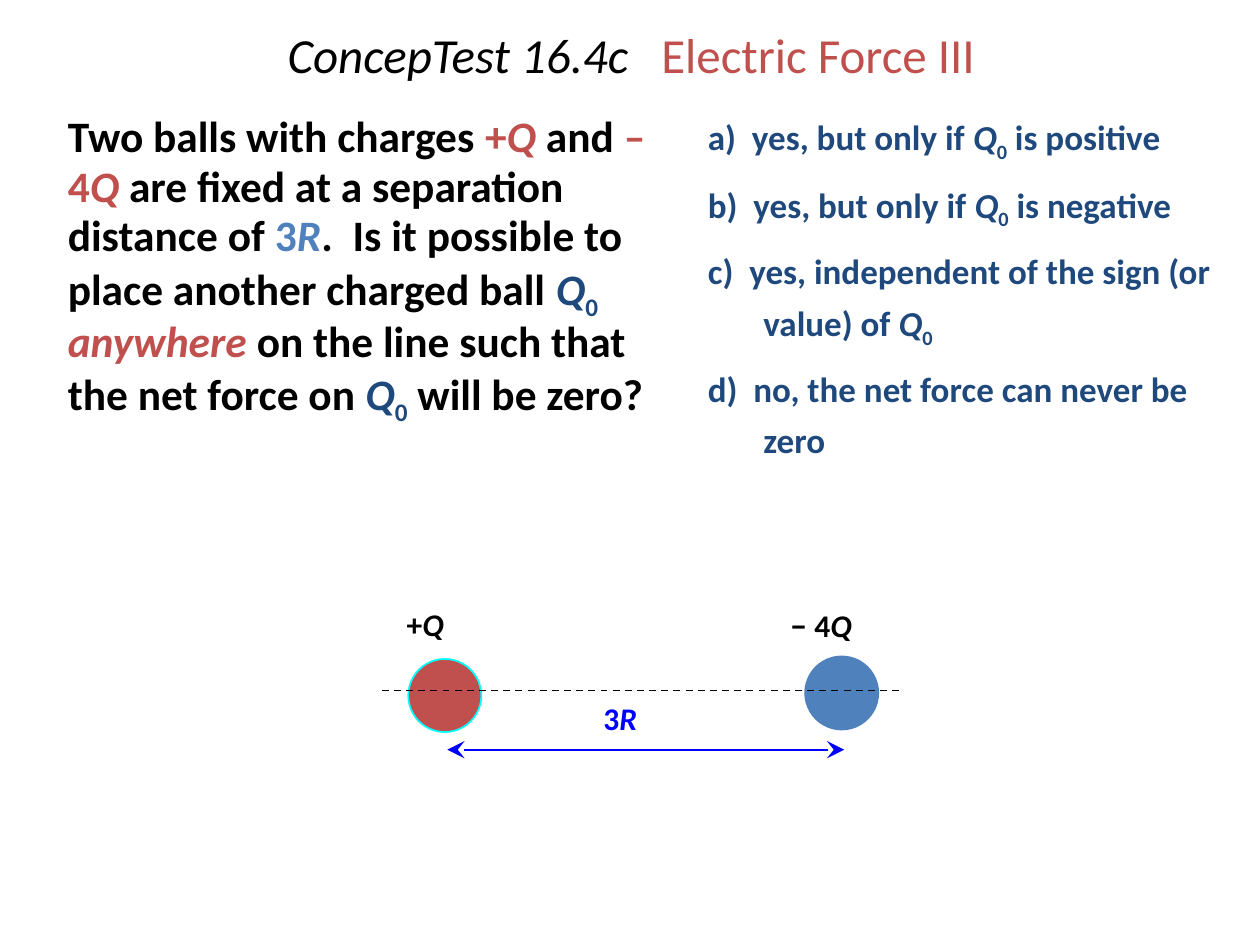
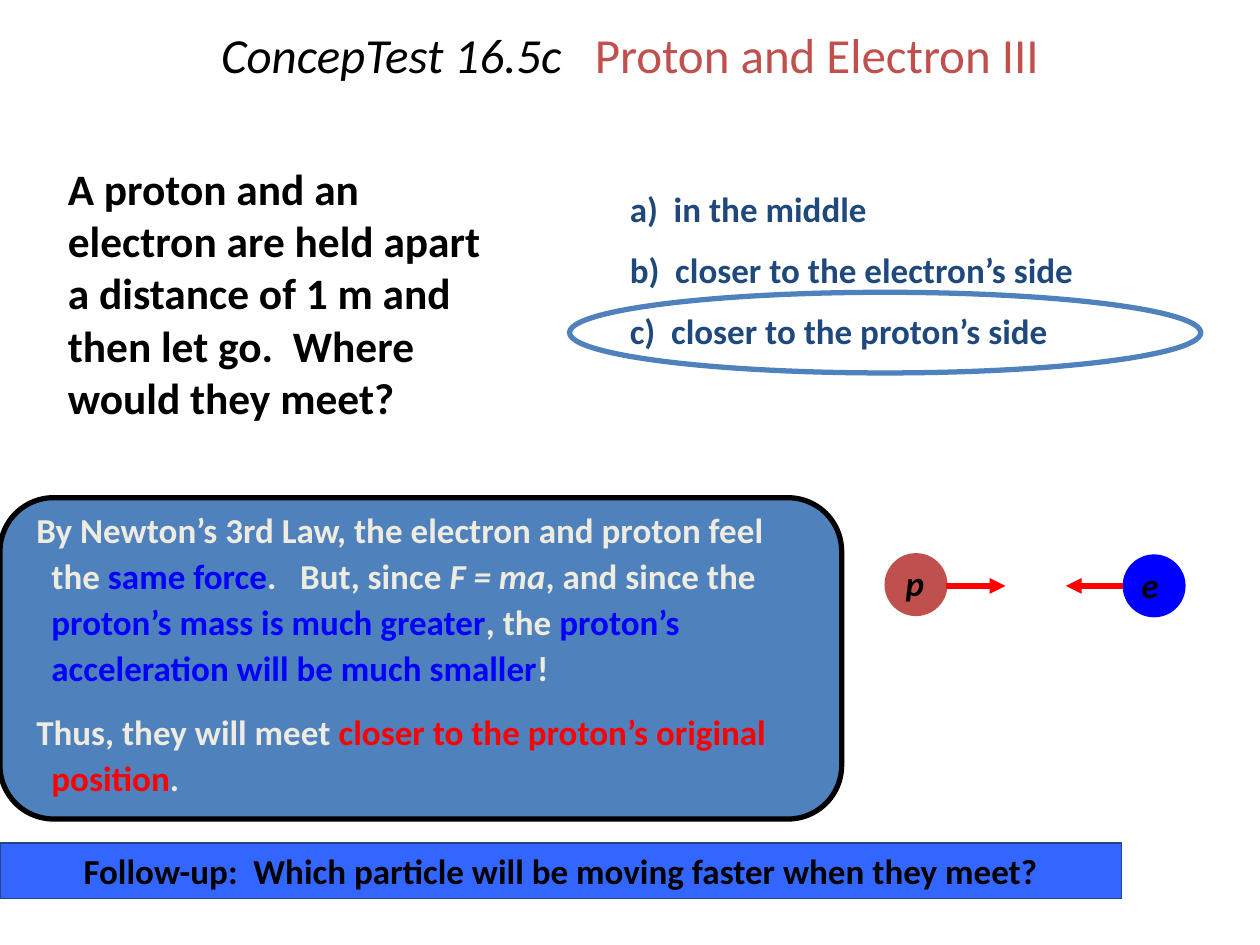
from lxml import etree
from pptx import Presentation
from pptx.dml.color import RGBColor
from pptx.enum import dml, shapes, text
from pptx.oxml.ns import qn
from pptx.util import Inches, Pt

COLOURS = {
    "black": "000000", "red": "C0504D", "blue": "4F81BD", "navy": "1F497D",
    "cream": "EEECE1", "pure blue": "0000FF", "pure red": "FF0000",
    "cyan": "00FFFF", "banner": "3366FF",
}
RGB = {name: RGBColor.from_string(value) for name, value in COLOURS.items()}
FONT = "Calibri"


def write(shape, paragraphs, size=20, colour="black", bold=True, align="LEFT",
          anchor="TOP", wrap=True, line=1.0, before=0, margin=0, indent=0):
    """Fill a shape with paragraphs, each a list of runs.

    A run is (text, colour, flags, size), all but the text optional;
    the flags are "i" for italic and "s" for subscript.
    """
    frame = shape.text_frame
    frame.word_wrap = wrap
    frame.auto_size = text.MSO_AUTO_SIZE.NONE
    frame.vertical_anchor = getattr(text.MSO_ANCHOR, anchor)
    for number, runs in enumerate(paragraphs):
        paragraph = frame.add_paragraph() if number else frame.paragraphs[0]
        paragraph.alignment = getattr(text.PP_ALIGN, align)
        paragraph.line_spacing = line
        paragraph.space_before = Pt(before if number else 0)
        properties = paragraph._p.get_or_add_pPr()
        properties.set("marL", str(Inches(margin)))
        properties.set("indent", str(Inches(indent)))
        for words, run_colour, flags, run_size in (
                (*run, *(None, "", None)[len(run) - 1:]) for run in runs):
            run = paragraph.add_run()
            run.text = words
            run.font.name = FONT
            run.font.size = Pt(run_size or size)
            run.font.bold = bold
            run.font.italic = "i" in flags
            run.font.color.rgb = RGB[run_colour or colour]
            if "s" in flags:
                run.font._element.set("baseline", "-25000")


def draw_line(slide, start, end, colour, width, head=None, tail=None, scale="med"):
    connector = slide.shapes.add_connector(
        shapes.MSO_CONNECTOR.STRAIGHT, *map(Inches, start + end))
    connector.line.color.rgb = RGB[colour]
    connector.line.width = Pt(width)
    for tag, arrow in (("a:headEnd", head), ("a:tailEnd", tail)):
        if arrow:
            etree.SubElement(connector.line._get_or_add_ln(), qn(tag),
                             type=arrow, w=scale, len=scale)
    etree.SubElement(connector._element.spPr, qn("a:effectLst"))
    return connector


presentation = Presentation()
presentation.slide_width = Inches(10)
presentation.slide_height = Inches(7.5)

# Titles
slides = []
for number, topic, left, width in (
        ("16.4c", "Electric Force III", 1.02, 7.98),
        ("16.5c", "Proton and Electron III", 0.91, 8.18)):
    slide = presentation.slides.add_slide(presentation.slide_layouts[5])
    title = slide.shapes.title
    title.left, title.top = Inches(left), 0
    title.width, title.height = Inches(width), Inches(0.92)
    write(title, [[(f"ConcepTest {number}   ", None, "i"), (topic, "red")]],
          size=28, bold=False, align="CENTER", anchor="MIDDLE", line=0.9)
    slides.append(slide)
force_slide, particle_slide = slides

# Questions
charge = ("Q", "navy", "i")
zero, zero_and_space = ("0", "navy", "s"), ("0 ", "navy", "s")
force_question = [
    ("Two balls with charges ",), ("+", "red"), ("Q", "red", "i"), (" and ",),
    ("–4", "red"), ("Q", "red", "i"),
    (" are fixed at a separation distance of ",),
    ("3", "blue"), ("R", "blue", "i"),
    (".  Is it possible to place another charged ball ",),
    charge, zero_and_space, ("anywhere ", "red", "i"),
    ("on the line such that the net force on ",),
    charge, zero, (" will be zero?",),
]
particle_question = [
    ("A proton and an electron are held apart a distance of 1 m and then "
     "let go.  Where would they meet?",),
]
for slide, place, question, line in (
        (force_slide, (0, 0.85, 5.36, 2.78), force_question, 0.95),
        (particle_slide, (0, 1.24, 4.05, 2.33), particle_question, 1.0)):
    write(slide.shapes.add_textbox(*map(Inches, place)), [question],
          size=24.8, line=line, margin=0.44)

# Answers
force_answers = [
    [("a)  yes, but only if ",), charge, zero, (" is positive",)],
    [("b)  yes, but only if ",), charge, zero, (" is negative",)],
    [("c)  yes, independent of the sign (or value) of ",), charge, zero],
    [("d)  no, the net force can never be zero",)],
]
particle_answers = [
    [("a)  in the middle",)],
    [("b)  closer to the electron’s side",)],
    [("c)  closer to the proton’s side",)],
]
for slide, place, answers in (
        (force_slide, (5.52, 0.79, 4.48, 2.64), force_answers),
        (particle_slide, (4.9, 1.37, 4.84, 1.94), particle_answers)):
    write(slide.shapes.add_textbox(*map(Inches, place)), answers,
          colour="navy", line=1.2, before=6, margin=0.44, indent=-0.44)

# Filled and outlined shapes
Preset = shapes.MSO_SHAPE
for slide, preset, place, fill, outline, width, caption in (
        (force_slide, Preset.OVAL,
         (6.39, 5.21, 0.58, 0.58), "blue", "blue", 1, None),
        (force_slide, Preset.OVAL,
         (3.24, 5.23, 0.58, 0.58), "red", "cyan", 1, None),
        (particle_slide, Preset.ROUNDED_RECTANGLE,
         (0, 3.95, 6.68, 2.55), "blue", "black", 3, None),
        (particle_slide, Preset.OVAL,
         (4.52, 2.32, 5.01, 0.64), None, "blue", 3, None),
        (particle_slide, Preset.OVAL,
         (7.02, 4.39, 0.5, 0.5), "red", None, 0, None),
        (particle_slide, Preset.OVAL,
         (8.91, 4.4, 0.5, 0.5), "pure blue", None, 0, None),
        (particle_slide, Preset.RECTANGLE,
         (0, 6.69, 8.9, 0.44), "banner", "navy", 0.75,
         "Follow-up:  Which particle will be moving faster when they meet?")):
    shape = slide.shapes.add_shape(preset, *map(Inches, place))
    shape.shadow.inherit = False
    if fill:
        shape.fill.solid()
        shape.fill.fore_color.rgb = RGB[fill]
    else:
        shape.fill.background()
    if outline:
        shape.line.color.rgb = RGB[outline]
        shape.line.width = Pt(width)
    else:
        shape.line.fill.background()
    if caption:
        write(shape, [[(caption,)]], align="CENTER", anchor="MIDDLE")

# Labels of balls and distance
for slide, place, label, size, colour, line in (
        (force_slide, (4.69, 5.53, 0.52, 0.37),
         [("3",), ("R", None, "i")], 18, "pure blue", 0.9),
        (force_slide, (3.13, 4.79, 0.54, 0.37),
         [("+",), ("Q", None, "i")], 18, "black", 0.9),
        (force_slide, (6.17, 4.77, 0.76, 0.4),
         [("–", None, "", 20), (" 4",), ("Q", None, "i")], 18, "black", 0.9),
        (particle_slide, (7.09, 4.41, 0.37, 0.43),
         [("p", None, "i")], 20, "black", 1.0),
        (particle_slide, (8.96, 4.42, 0.36, 0.43),
         [("e", None, "i")], 20, "black", 1.0)):
    write(slide.shapes.add_textbox(*map(Inches, place)), [label],
          size=size, colour=colour, wrap=False, line=line)

# Axis, separation and force arrows
axis = draw_line(force_slide, (3.03, 5.48), (7.16, 5.48), "black", 1)
axis.line.dash_style = dml.MSO_LINE.DASH
draw_line(force_slide, (3.55, 5.95), (6.7, 5.95), "pure blue", 1,
          head="stealth", tail="stealth", scale="lg")
for start, end in ((7.51, 7.98), (8.91, 8.46)):
    draw_line(particle_slide, (start, 4.65), (end, 4.65), "pure red", 3,
              tail="triangle")

# Explanation
explanation = particle_slide.shapes.add_textbox(
    *map(Inches, (0, 3.95, 6.58, 2.47)))
write(explanation, [
    [("By Newton’s 3rd Law, the electron and proton feel the ",),
     ("same force", "pure blue"), (".   But, since ",), ("F = ma", None, "i"),
     (", and since the ",), ("proton’s mass is much greater", "pure blue"),
     (", the ",), ("proton’s acceleration will be much smaller", "pure blue"),
     ("!",)],
    [("Thus, they will meet ",),
     ("closer to the proton’s original position", "pure red"), (".",)],
], colour="cream", line=1.1, before=10, margin=0.31, indent=-0.12)

presentation.save("out.pptx")
